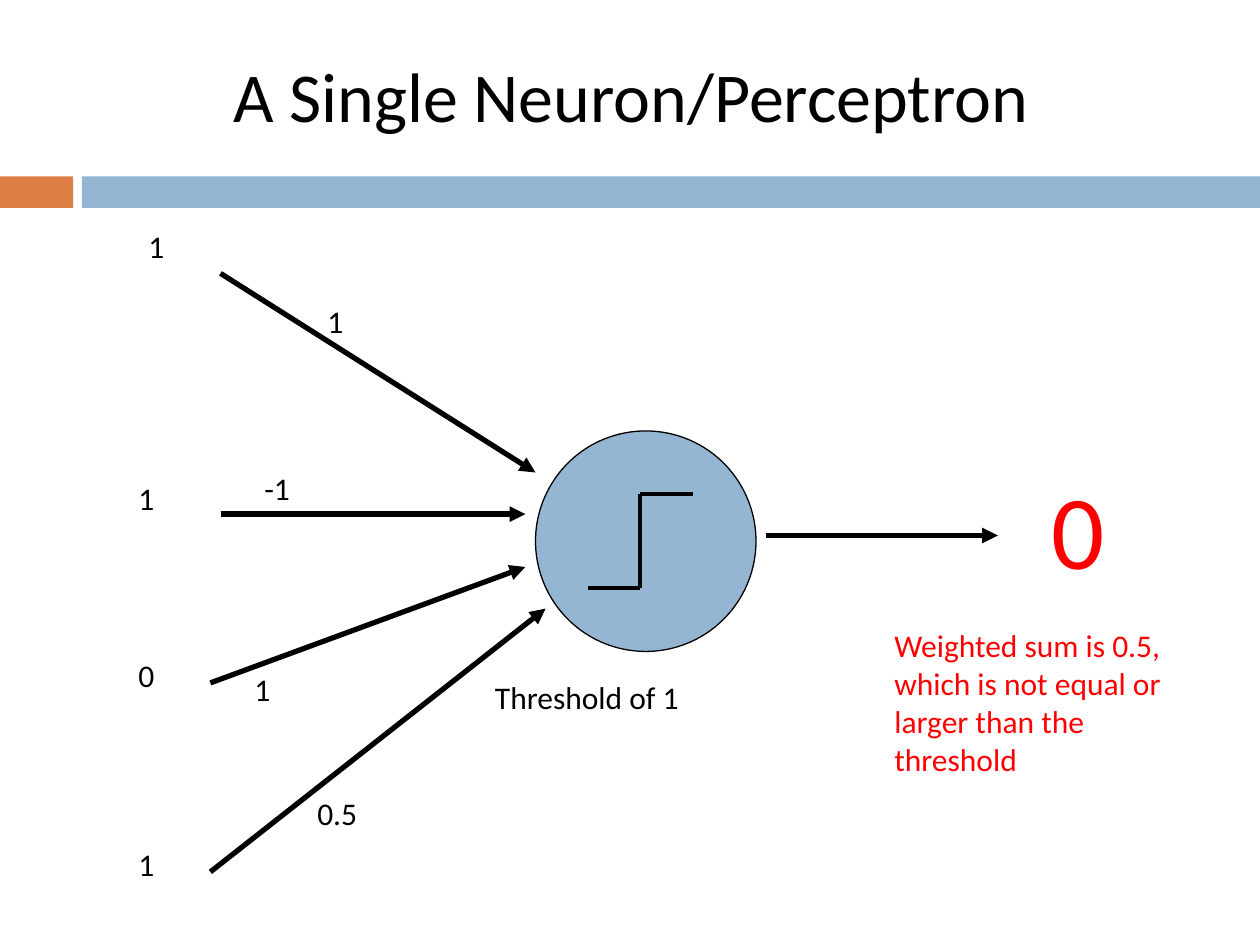
"""Draws a single neuron whose weighted inputs stay below its threshold."""
from itertools import pairwise

from lxml import etree
from pptx import Presentation
from pptx.dml.color import RGBColor
from pptx.enum.shapes import MSO_CONNECTOR, MSO_SHAPE
from pptx.enum.text import MSO_ANCHOR, MSO_AUTO_SIZE, PP_ALIGN
from pptx.oxml.ns import qn
from pptx.util import Inches, Pt

STRAIGHT = MSO_CONNECTOR.STRAIGHT
RECTANGLE, OVAL = MSO_SHAPE.RECTANGLE, MSO_SHAPE.OVAL
TOP, CENTER = MSO_ANCHOR.TOP, PP_ALIGN.CENTER
NO_AUTOFIT = MSO_AUTO_SIZE.NONE
BLACK, RED, BLUE, ORANGE = "000000", "FF0000", "94B6D2", "DD8047"


def rgb(value):
    return RGBColor.from_string(value)


class NeuronSlide:
    font_name = "Calibri"

    def __init__(self, presentation):
        self.slide = presentation.slides.add_slide(presentation.slide_layouts[5])
        self.shapes = self.slide.shapes

    def start_group(self):
        self.shapes = self.slide.shapes.add_group_shape().shapes

    def end_group(self):
        self.shapes = self.slide.shapes

    def format_text(self, frame, text, size, color):
        frame.text = text
        frame.word_wrap = True
        frame.auto_size = NO_AUTOFIT
        frame.vertical_anchor = TOP
        font = frame.paragraphs[0].runs[0].font
        font.name, font.size = self.font_name, Pt(size)
        font.color.rgb = rgb(color)

    def title(self, text, left, top, width, height):
        heading = self.slide.shapes.title
        heading.left, heading.top = Inches(left), Inches(top)
        heading.width, heading.height = Inches(width), Inches(height)
        self.format_text(heading.text_frame, text, 40, BLACK)
        heading.text_frame.paragraphs[0].alignment = CENTER

    def label(self, text, left, top, width, height, size=18, color=BLACK):
        box = self.shapes.add_textbox(*map(Inches, (left, top, width, height)))
        self.format_text(box.text_frame, text, size, color)

    def shape(self, kind, left, top, width, height, fill, outline=None):
        body = self.shapes.add_shape(kind, *map(Inches, (left, top, width, height)))
        body.shadow.inherit = False
        body.fill.solid()
        body.fill.fore_color.rgb = rgb(fill)
        if outline:
            body.line.color.rgb = rgb(outline)
            body.line.width = Pt(0.75)
        else:
            body.line.fill.background()

    def line(self, start, end, width):
        stroke = self.shapes.add_connector(STRAIGHT, *map(Inches, (*start, *end)))
        stroke.line.color.rgb = rgb(BLACK)
        stroke.line.width = Pt(width)
        properties = stroke._element.spPr
        etree.SubElement(properties, qn("a:effectLst"))
        return properties

    def arrow(self, start, end):
        properties = self.line(start, end, 3)
        etree.SubElement(properties.find(qn("a:ln")), qn("a:tailEnd"), type="triangle")


def main():
    presentation = Presentation()
    presentation.slide_width, presentation.slide_height = Inches(10), Inches(7.5)
    page = NeuronSlide(presentation)

    page.shape(RECTANGLE, 0, 1.4, 0.58, 0.25, ORANGE)
    page.shape(RECTANGLE, 0.65, 1.4, 9.35, 0.25, BLUE)
    page.title("A Single Neuron/Perceptron", 0.42, 0.37, 9.17, 0.77)

    page.start_group()
    page.shape(OVAL, 4.25, 3.42, 1.75, 1.75, BLUE, BLACK)
    page.arrow((6.08, 4.25), (7.92, 4.25))
    synapses = [
        ((1.75, 2.17), (4.25, 3.75), "1", (2.5, 2.35)),
        ((1.75, 4.08), (4.17, 4.08), "-1", (2, 3.67)),
        ((1.67, 5.42), (4.17, 4.5), "1", (1.92, 5.27)),
        ((1.67, 6.92), (4.33, 4.83), "0.5", (2.42, 6.25)),
    ]
    for start, end, weight, place in synapses:
        page.arrow(start, end)
        page.label(weight, *place, 1.5, 0.4)
    page.end_group()

    page.start_group()
    step_corners = [(4.67, 4.67), (5.08, 4.67), (5.08, 3.92), (5.5, 3.92)]
    for start, end in pairwise(step_corners):
        page.line(start, end, 2.25)
    page.end_group()

    inputs = [("1", 1.08, 1.75), ("1", 1, 3.75), ("0", 1, 5.16), ("1", 1, 6.66)]
    for value, left, top in inputs:
        page.label(value, left, top, 0.67, 0.5)

    page.label("Threshold of 1", 3.83, 5.33, 2.75, 0.5)
    page.label("0", 8.25, 3.64, 1.5, 1.11, 60, RED)
    page.label(
        "Weighted sum is 0.5, which is not equal or larger than the threshold",
        7, 4.92, 2.67, 2.12, color=RED,
    )
    presentation.save("out.pptx")


if __name__ == "__main__":
    main()
